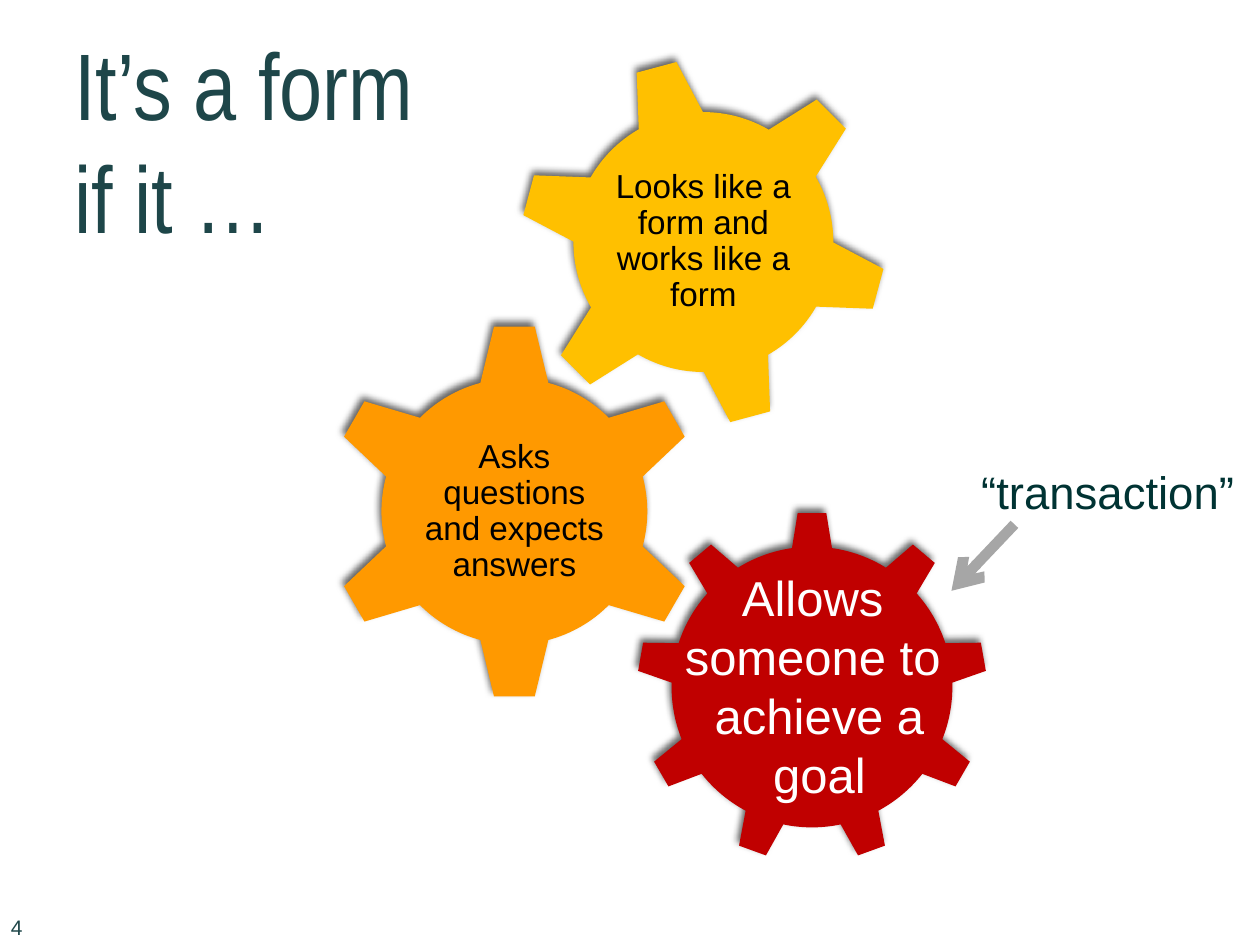
"""Build a slide with three gears that say what makes a form."""
import math

import lxml.etree
import pptx
import pptx.dml.color
import pptx.enum.shapes
import pptx.enum.text
import pptx.oxml.ns
import pptx.util

Cm, Pt = pptx.util.Cm, pptx.util.Pt
ALIGN = pptx.enum.text.PP_ALIGN
ANCHOR = pptx.enum.text.MSO_ANCHOR


def tint(code):
    return pptx.dml.color.RGBColor.from_string(code)


def add_node(base, tag, **attrs):
    return lxml.etree.SubElement(base, pptx.oxml.ns.qn(tag), attrs)


def write(frame, paras, size, color, font="Arial", align=ALIGN.LEFT, space=None):
    """Fill a frame; each paragraph is a list of lines."""
    for num, lines in enumerate(paras):
        para = frame.add_paragraph() if num else frame.paragraphs[0]
        para.alignment = align
        para.line_spacing = space
        for row, line in enumerate(lines):
            if row:
                para.add_line_break()
            run = para.add_run()
            run.text = line
            run.font.size = Pt(size)
            run.font.name = font
            run.font.color.rgb = tint(color)


def inset(frame, side, top):
    frame.margin_left = frame.margin_right = side
    frame.margin_top = frame.margin_bottom = top


def add_text(shapes, box, paras, size, color, pad=(0.25, 0.13),
             anchor=ANCHOR.TOP, wrap=True, **style):
    frame = shapes.add_textbox(*map(Cm, box)).text_frame
    frame.word_wrap = wrap
    frame.vertical_anchor = anchor
    inset(frame, *map(Cm, pad))
    write(frame, paras, size, color, **style)


def add_shade(shape):
    """Cast a soft shadow up and to the left."""
    shape.shadow.inherit = False
    effects = shape._element.spPr.find(pptx.oxml.ns.qn("a:effectLst"))
    shade = add_node(effects, "a:outerShdw", blurRad=str(Pt(4)), dist=str(Pt(3)),
                     dir=str(245 * 60000), algn="ctr", rotWithShape="0")
    color = add_node(shade, "a:srgbClr", val="000000")
    add_node(color, "a:alpha", val="60000")


def bend(gear, bows):
    """Turn every fourth edge of a gear into a curve with the given handles."""
    edges = list(gear._element.iter(pptx.oxml.ns.qn("a:lnTo")))
    for edge, bow in zip(edges[3::4], bows):
        edge.tag = pptx.oxml.ns.qn("a:cubicBezTo")
        for num, (x, y) in enumerate(bow):
            handle = add_node(edge, "a:pt", x=str(x - gear.left),
                              y=str(y - gear.top))
            edge.insert(num, handle)


def add_gear(shapes, mid, root, tip, teeth, base_half, tip_half, color, turn=0):
    """Draw a gear; angles are in degrees, clockwise from the top."""
    def spot(radius, angle):
        rad = math.radians(angle)
        return (Cm(mid[0] + radius * math.sin(rad)),
                Cm(mid[1] - radius * math.cos(rad)))

    pitch = 360 / teeth
    reach = 4 / 3 * math.tan(math.radians(pitch - 2 * base_half) / 4)
    lean, far = math.degrees(math.atan(reach)), root * math.hypot(1, reach)
    points, bows = [], []
    for tooth in range(teeth):
        axis = turn + tooth * pitch
        left, right = axis + pitch - base_half, axis + base_half
        points += [spot(tip, axis - tip_half), spot(tip, axis + tip_half),
                   spot(root, right), spot(root, left)]
        bows.append([spot(far, right + lean), spot(far, left - lean)])
    maker = shapes.build_freeform(*points[-1])
    maker.add_line_segments(points, close=True)
    gear = maker.convert_to_shape()
    bend(gear, bows)
    gear.fill.solid()
    gear.fill.fore_color.rgb = tint(color)
    gear.line.fill.background()
    add_shade(gear)
    return gear


def label_gear(gear, words, width):
    frame = gear.text_frame
    frame.word_wrap = True
    frame.vertical_anchor = ANCHOR.MIDDLE
    pad = (gear.width - Cm(width)) // 2
    inset(frame, pad, pad)
    write(frame, [[words]], 19, "000000", align=ALIGN.CENTER, space=0.9)


def add_arrow(shapes, start, end, color, width):
    kind = pptx.enum.shapes.MSO_CONNECTOR.STRAIGHT
    arrow = shapes.add_connector(kind, *map(Cm, start + end))
    arrow.line.color.rgb = tint(color)
    arrow.line.width = Pt(width)
    add_node(arrow.line._get_or_add_ln(), "a:tailEnd", type="arrow")
    add_node(arrow._element.spPr, "a:effectLst")


def main():
    deck = pptx.Presentation()
    deck.slide_width, deck.slide_height = Cm(25.4), Cm(19.05)
    shapes = deck.slides.add_slide(deck.slide_layouts[6]).shapes

    add_text(shapes, (0, 17.73, 1.52, 1.32), [["4"]], 12, "1E4649",
             pad=(0.22, 0.1), anchor=ANCHOR.BOTTOM)
    note = shapes.add_group_shape().shapes
    add_arrow(note, (20.45, 10.57), (19.18, 11.91), "A6A6A6", 6)
    add_text(note, (19.53, 9.22, 5.69, 1.37), [["“transaction”"]], 26,
             "003333", wrap=False)

    goal = shapes.add_group_shape().shapes
    add_gear(goal, (16.37, 13.85), 2.83, 3.52, 9, 8.2, 4.7, "C00000")
    add_text(goal, (13.51, 11.32, 6.02, 5.05),
             [["Allows ", "someone to ", "achieve a"], ["goal"]],
             28, "FFFFFF", align=ALIGN.CENTER)
    asks = add_gear(shapes, (10.37, 10.31), 2.68, 3.75, 6, 14.8, 6.3, "FF9900")
    label_gear(asks, "Asks questions and expects answers", 3.66)
    looks = add_gear(shapes, (14.18, 4.88), 2.62, 3.67, 6, 14.8, 6.5, "FFC000",
                     turn=-15)
    label_gear(looks, "Looks like a form and works like a form", 4.06)

    add_text(shapes, (1.5, 1.91, 8.1, 3.18), [["It’s a form ", "if it …"]], 54,
             "1E4649", pad=(0, 0), anchor=ANCHOR.BOTTOM, font="Arial Narrow")
    deck.save("out.pptx")


if __name__ == "__main__":
    main()
